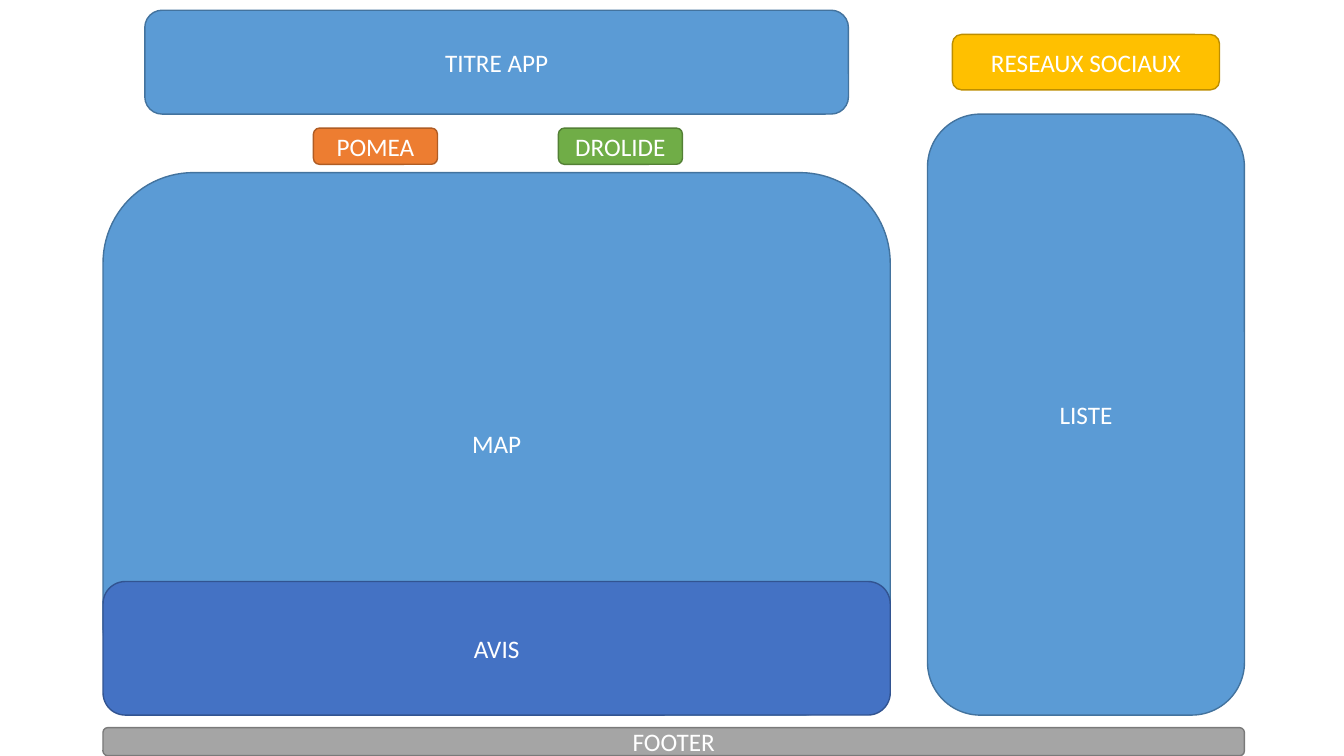
from pptx import Presentation
from pptx.dml.color import RGBColor
from pptx.enum.shapes import MSO_SHAPE
from pptx.enum.text import MSO_ANCHOR, PP_ALIGN
from pptx.util import Pt

WHITE = RGBColor(0xFF, 0xFF, 0xFF)
BLUE = RGBColor(0x5B, 0x9B, 0xD5)
BLUE_EDGE = RGBColor(0x43, 0x73, 0x9E)
INDIGO = RGBColor(0x44, 0x72, 0xC4)
INDIGO_EDGE = RGBColor(0x32, 0x54, 0x91)
GREEN = RGBColor(0x70, 0xAD, 0x47)
GREEN_EDGE = RGBColor(0x53, 0x80, 0x35)
ORANGE = RGBColor(0xED, 0x7D, 0x31)
ORANGE_EDGE = RGBColor(0xAF, 0x5C, 0x24)
GOLD = RGBColor(0xFF, 0xC0, 0x00)
GOLD_EDGE = RGBColor(0xBD, 0x8E, 0x00)
GREY = RGBColor(0xA5, 0xA5, 0xA5)
GREY_EDGE = RGBColor(0x7A, 0x7A, 0x7A)

SLIDE_W, SLIDE_H = 960, 540
LEFT, RIGHT, BOTTOM = 73.6, 888.9, 510.8
MAP_W, LIST_W = 562.3, 226.4
TITLE_W, TITLE_TOP, TITLE_H = 502.6, 7.3, 74.2
MAP_TOP, LIST_TOP, REVIEWS_TOP = 123.3, 81.5, 415.4
BUTTON_W, BUTTON_H, BUTTON_TOP = 88.6, 25.9, 91.5
BUTTON_LEFT, BUTTON_STEP = 223.9, 175
SOCIAL_W, SOCIAL_H = 190.8, 39.6
FOOTER_TOP, FOOTER_H = 519.8, 20


def add_block(s, text, left, top, width, height, fill=BLUE, edge=BLUE_EDGE):
    sp = s.shapes.add_shape(MSO_SHAPE.ROUNDED_RECTANGLE,
                            Pt(left), Pt(top), Pt(width), Pt(height))
    sp.shadow.inherit = False
    sp.fill.solid()
    sp.fill.fore_color.rgb = fill
    sp.line.color.rgb = edge
    sp.line.width = Pt(1)
    tf = sp.text_frame
    tf.word_wrap = True
    tf.vertical_anchor = MSO_ANCHOR.MIDDLE
    p = tf.paragraphs[0]
    p.alignment = PP_ALIGN.CENTER
    r = p.add_run()
    r.text = text
    r.font.name = "Calibri"
    r.font.size = Pt(18)
    r.font.color.rgb = WHITE


def add_centred(s, text, centre, top, width, height, *colours):
    add_block(s, text, centre - width / 2, top, width, height, *colours)


def main():
    prs = Presentation()
    prs.slide_width, prs.slide_height = Pt(SLIDE_W), Pt(SLIDE_H)
    s = prs.slides.add_slide(prs.slide_layouts[6])

    map_centre = LEFT + MAP_W / 2
    list_centre = RIGHT - LIST_W / 2
    title_middle = TITLE_TOP + TITLE_H / 2

    add_block(s, "MAP", LEFT, MAP_TOP, MAP_W, BOTTOM - MAP_TOP)
    add_centred(s, "LISTE", list_centre, LIST_TOP, LIST_W, BOTTOM - LIST_TOP)
    add_centred(s, "TITRE APP", map_centre, TITLE_TOP, TITLE_W, TITLE_H)
    add_block(s, "AVIS", LEFT, REVIEWS_TOP, MAP_W, BOTTOM - REVIEWS_TOP,
              INDIGO, INDIGO_EDGE)
    for text, column, fill, edge in (("DROLIDE", 1, GREEN, GREEN_EDGE),
                                     ("POMEA", 0, ORANGE, ORANGE_EDGE)):
        add_block(s, text, BUTTON_LEFT + column * BUTTON_STEP,
                  BUTTON_TOP, BUTTON_W, BUTTON_H, fill, edge)
    add_centred(s, "RESEAUX SOCIAUX", list_centre, title_middle - SOCIAL_H / 2,
                SOCIAL_W, SOCIAL_H, GOLD, GOLD_EDGE)
    add_block(s, "FOOTER", LEFT, FOOTER_TOP, RIGHT - LEFT, FOOTER_H,
              GREY, GREY_EDGE)
    prs.save("out.pptx")


main()
